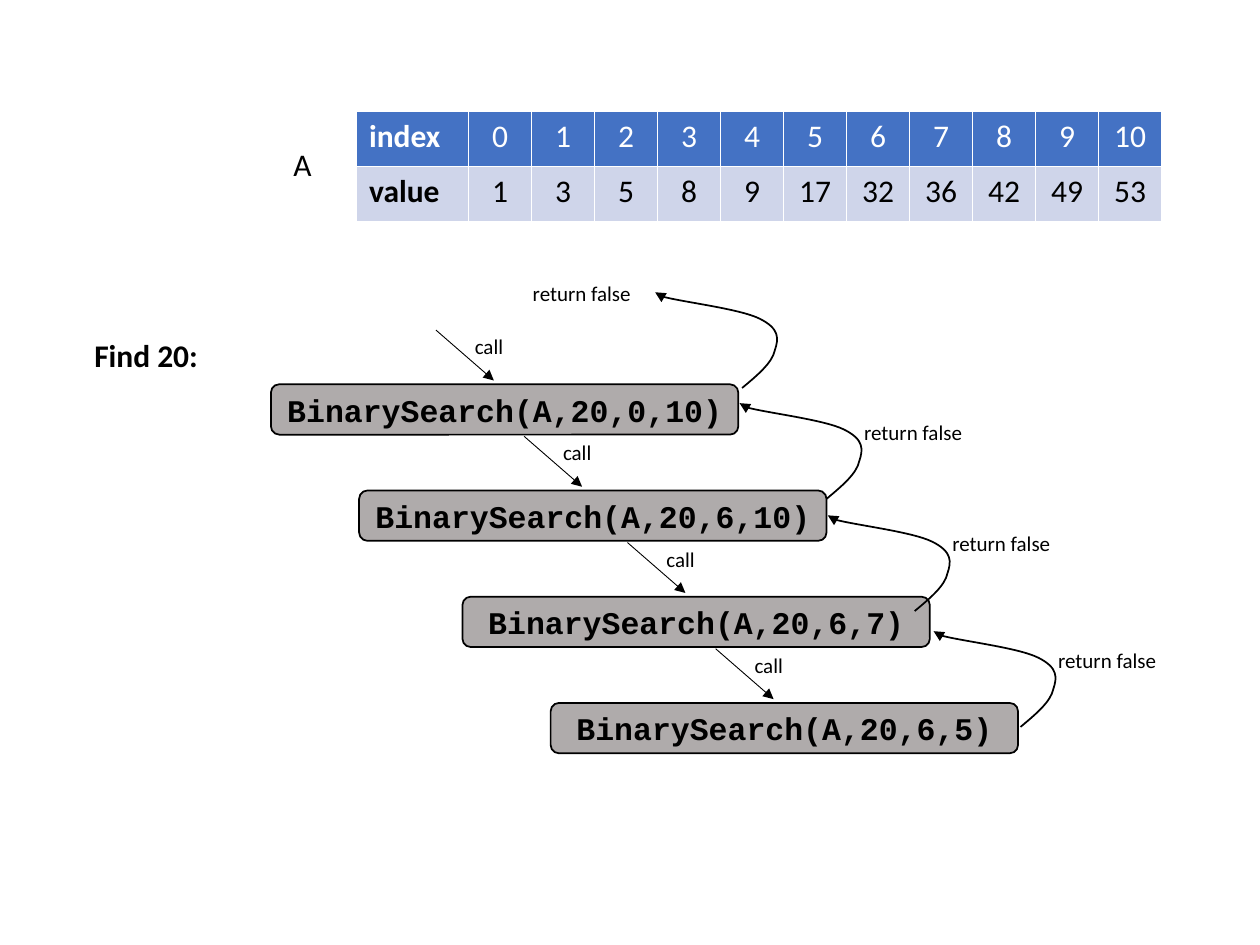
from lxml.etree import SubElement
from pptx import Presentation
from pptx.dml.color import RGBColor
from pptx.enum.shapes import MSO_CONNECTOR, MSO_SHAPE
from pptx.enum.text import MSO_ANCHOR, PP_ALIGN
from pptx.oxml.ns import qn
from pptx.util import Inches, Pt

COLORS = {"black": "000000", "white": "FFFFFF", "header": "4472C4",
          "band": "CFD5EA", "box": "AFABAB"}
VALUES = [1, 3, 5, 8, 9, 17, 32, 36, 42, 49, 53]
CALLS = [(2.15, "0,10"), (2.85, "6,10"), (3.67, "6,7"), (4.37, "6,5")]
FIRST_CALL_TOP, CALL_STEP = 3.05, 0.843
RETURNS = [((5.19, 2.32), (4.13, 2.18)), ((5.86, 3.2), (6.76, 3.28)),
           ((6.56, 4.09), (7.46, 4.16)), ((7.4, 5.01), (8.3, 5.09))]
CURVE = [(0.7, 0.76), (0.82, 0.66), (0.94, 0.56), (0.96, 0.46), (0.99, 0.37),
         (1, 0.29), (0.84, 0.21), (0.68, 0.13), (-0.07, 0.04), (0.01, 0)]


def color(name):
    """Return a named colour."""
    return RGBColor.from_string(COLORS[name])


def write(frame, text, size=18, font="Calibri", ink="black", bold=False, align=PP_ALIGN.LEFT):
    """Write one formatted paragraph into a text frame."""
    paragraph = frame.paragraphs[0]
    paragraph.alignment = align
    run = paragraph.add_run()
    run.text = text
    run.font.name, run.font.size, run.font.bold = font, Pt(size), bold
    run.font.color.rgb = color(ink)


def add_label(slide, left, top, width, height, text, wrap=True, **style):
    """Add a text box."""
    box = slide.shapes.add_textbox(*map(Inches, (left, top, width, height)))
    box.text_frame.word_wrap = wrap
    write(box.text_frame, text, **style)


def style_arrow(shape, width):
    """Give a line its colour, width and arrowhead, without a shadow."""
    shape.line.color.rgb = color("black")
    shape.line.width = Pt(width)
    SubElement(shape.line._get_or_add_ln(), qn("a:tailEnd"), type="triangle")
    SubElement(shape._element.spPr, qn("a:effectLst"))


def add_array(slide, left, top):
    """Add the array name and its table of indexes and values."""
    add_label(slide, left - 0.6, top + 0.22, 0.41, 0.4, "A")
    rows = [["index", *range(len(VALUES))], ["value", *VALUES]]
    table = slide.shapes.add_table(2, len(rows[0]), Inches(left), Inches(top),
                                   Inches(6.39), Inches(0.88)).table
    for number, column in enumerate(table.columns):
        column.width = Inches(0.5 if number else 0.89)
    looks = [("header", "white"), ("band", "black")]
    for row, (values, (fill, ink)) in enumerate(zip(rows, looks)):
        for number, value in enumerate(values):
            cell = table.cell(row, number)
            cell.fill.solid()
            cell.fill.fore_color.rgb = color(fill)
            write(cell.text_frame, str(value), ink=ink, bold=number == 0,
                  align=PP_ALIGN.CENTER if number else PP_ALIGN.LEFT)


def add_call(slide, left, top, bounds):
    """Add a call box with the arrow that leads to it."""
    box = slide.shapes.add_shape(MSO_SHAPE.ROUNDED_RECTANGLE, Inches(left), Inches(top),
                                 Inches(3.71), Inches(0.4))
    box.shadow.inherit = False
    box.fill.solid()
    box.fill.fore_color.rgb = color("box")
    box.line.color.rgb = color("black")
    box.line.width = Pt(1)
    box.text_frame.vertical_anchor = MSO_ANCHOR.MIDDLE
    write(box.text_frame, f"BinarySearch(A,20,{bounds})", font="Courier New", bold=True,
          align=PP_ALIGN.CENTER)
    ends = (left + 1.31, top - 0.43, left + 1.77, top - 0.03)
    arrow = slide.shapes.add_connector(MSO_CONNECTOR.STRAIGHT, *map(Inches, ends))
    style_arrow(arrow, 0.5)
    add_label(slide, left + 1.52, top - 0.45, 0.49, 0.3, "call", wrap=False, size=12)


def add_return(slide, curve_place, label_place):
    """Add a curved return arrow with its label."""
    left, top = curve_place
    points = [(Inches(left + x), Inches(top + y)) for x, y in CURVE]
    builder = slide.shapes.build_freeform(*points[0])
    builder.add_line_segments(points[1:], close=False)
    arrow = builder.convert_to_shape()
    outline = next(arrow._element.iter(qn("a:path")))
    steps = outline.findall(qn("a:lnTo"))
    for start in range(0, len(steps), 3):
        bend = SubElement(outline, qn("a:cubicBezTo"))
        for step in steps[start:start + 3]:
            bend.append(step[0])
            outline.remove(step)
    arrow.fill.background()
    style_arrow(arrow, 1)
    add_label(slide, *label_place, 1.1, 0.3, "return false", wrap=False, size=12)


def main():
    """Build and save the slide."""
    presentation = Presentation()
    presentation.slide_width, presentation.slide_height = Inches(10), Inches(7.5)
    slide = presentation.slides.add_slide(presentation.slide_layouts[6])
    add_array(slide, 2.83, 0.88)
    add_label(slide, 0.65, 2.62, 1.14, 0.4, "Find 20:", bold=True)
    for level, (left, bounds) in enumerate(CALLS):
        add_call(slide, left, FIRST_CALL_TOP + level * CALL_STEP, bounds)
    for curve_place, label_place in RETURNS:
        add_return(slide, curve_place, label_place)
    presentation.save("out.pptx")


main()
